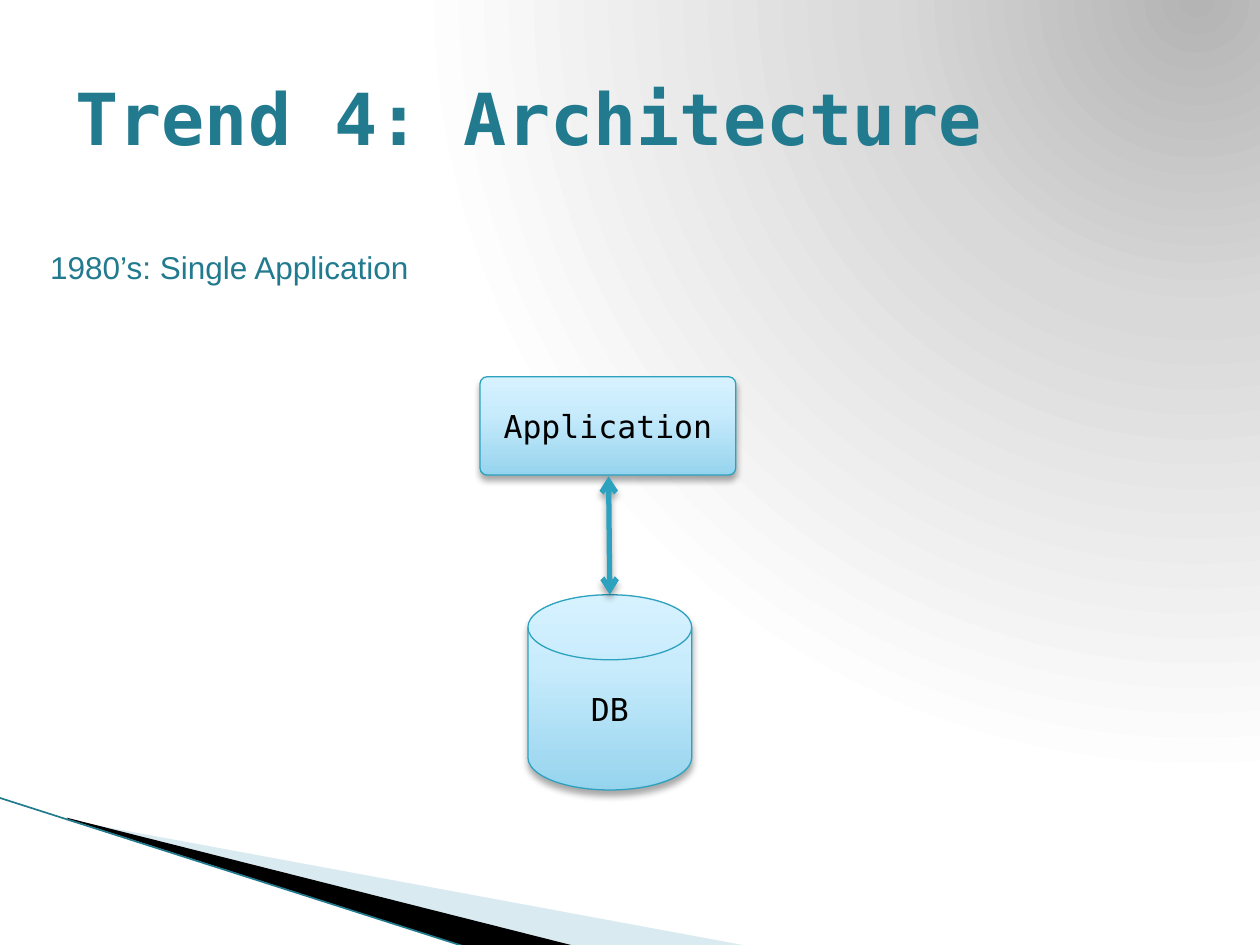
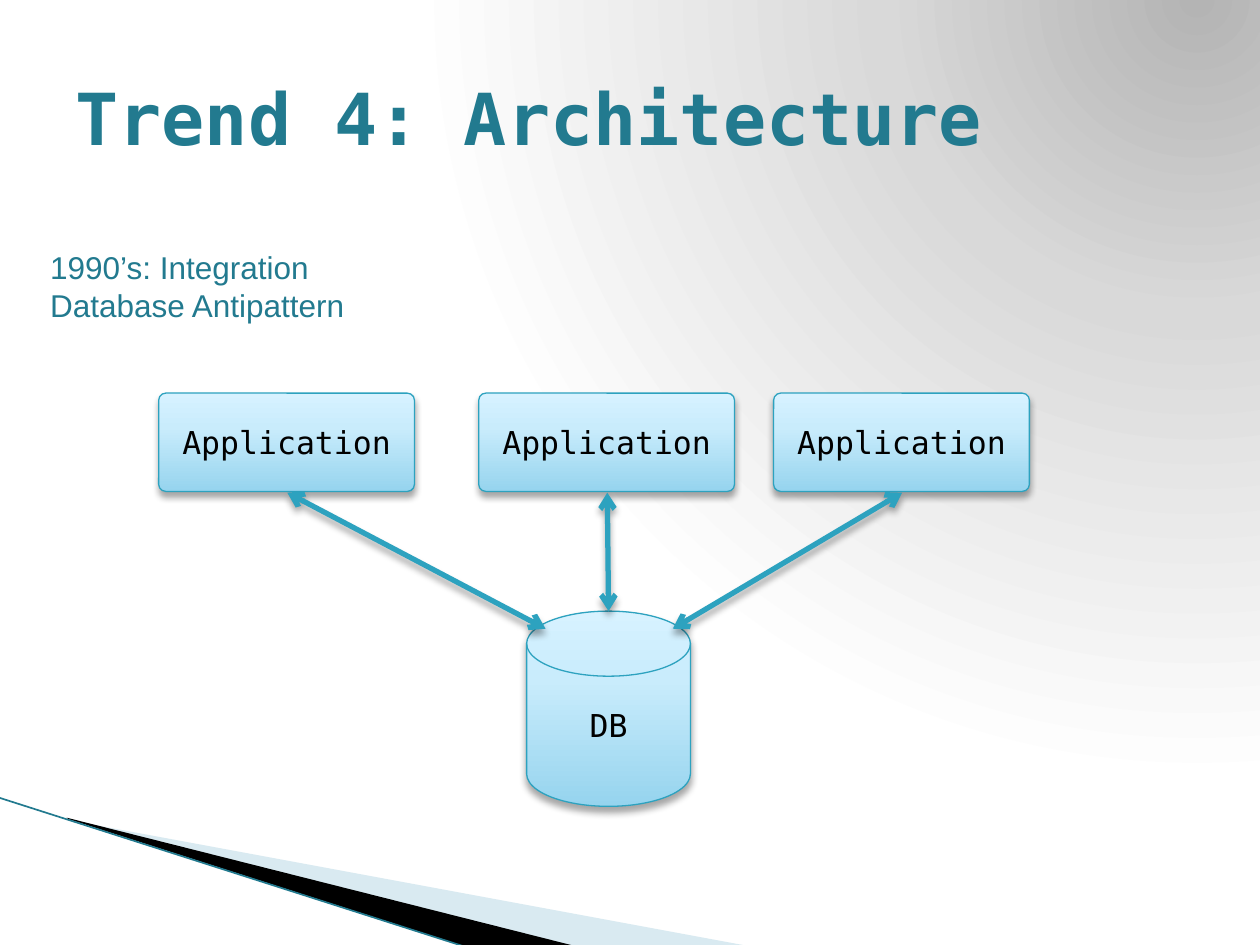
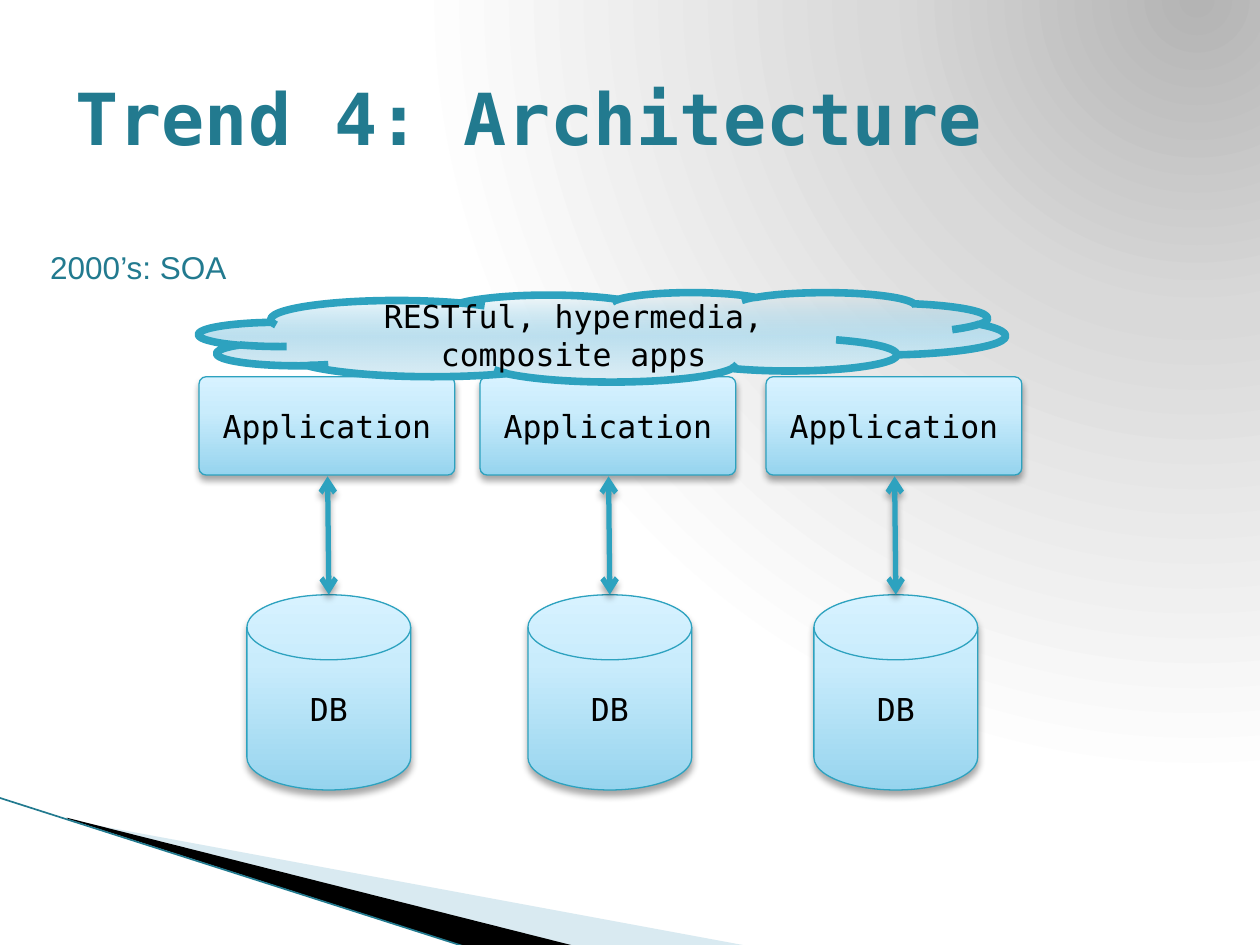
from dataclasses import dataclass

from lxml import etree
from pptx import Presentation
from pptx.dml.color import RGBColor
from pptx.enum.shapes import MSO_CONNECTOR, MSO_SHAPE
from pptx.enum.text import MSO_ANCHOR, MSO_AUTO_SIZE, PP_ALIGN
from pptx.oxml.ns import qn
from pptx.util import Inches, Pt

LEFT, CENTER = PP_ALIGN.LEFT, PP_ALIGN.CENTER
TOP, MIDDLE = MSO_ANCHOR.TOP, MSO_ANCHOR.MIDDLE
GROW = MSO_AUTO_SIZE.SHAPE_TO_FIT_TEXT
DISK = MSO_SHAPE.FLOWCHART_MAGNETIC_DISK
ROUNDED = MSO_SHAPE.ROUNDED_RECTANGLE
CLOUD = MSO_SHAPE.CLOUD
STRAIGHT = MSO_CONNECTOR.STRAIGHT

APP_WIDTH, APP_HEIGHT = 2.03, 0.78
DB_WIDTH, DB_HEIGHT = 1.3, 1.55
DB_INDENT, DB_DROP = 0.38, 1.73
LINK_START = 0.79


@dataclass(frozen=True)
class Theme:
    teal: str = "227A8F"
    edge: str = "2DA2BF"
    black: str = "000000"
    pale_band: str = "A0CBDC"
    backdrop: tuple = ((0, "B4B4B4"), (40, "D9D9D9"), (100, "FFFFFF"))
    node_fill: tuple = ((0, "96D4EE"), (65, "C9ECFC"), (100, "D7F2FF"))
    cloud_fill: tuple = ((0, "92CFE8", 0), (50, "BDE0EF"), (100, "DFEFF6"))
    mono: str = "DejaVu Sans Mono"
    sans: str = "Arial"
    title_size: float = 41
    body_size: float = 18
    thin: float = 0.75
    band_line: float = 0.95
    link_line: float = 3
    cloud_line: float = 4.33


def add_child(parent, tag, **attributes):
    values = {name: str(value) for name, value in attributes.items()}
    return etree.SubElement(parent, qn(tag), values)


def add_color(parent, color, alpha=100):
    node = add_child(parent, "a:srgbClr", val=color)
    if alpha < 100:
        add_child(node, "a:alpha", val=alpha * 1000)


def set_gradient(fill, owner, stops, angle=None, focus=None):
    fill.gradient()
    gradient = next(owner.iter(qn("a:gradFill")))
    for child in list(gradient):
        gradient.remove(child)
    stop_list = add_child(gradient, "a:gsLst")
    for position, *color in stops:
        add_color(add_child(stop_list, "a:gs", pos=position * 1000), *color)
    if focus:
        circle = add_child(gradient, "a:path", path="circle")
        sides = {side: share * 1000 for side, share in zip("ltrb", focus)}
        add_child(circle, "a:fillToRect", **sides)
    else:
        add_child(gradient, "a:lin", ang=angle * 60000, scaled=0)


def add_shadow(effects):
    shadow = add_child(effects, "a:outerShdw", blurRad=Pt(4), dist=Pt(3),
                       dir=90 * 60000, rotWithShape=0)
    add_color(shadow, Theme.black, 35)


def write_text(frame, text, *, font, size, color, bold=False, align=LEFT, anchor=TOP):
    frame.vertical_anchor = anchor
    for index, line in enumerate(text.split("\n")):
        para = frame.add_paragraph() if index else frame.paragraphs[0]
        para.alignment = align
        span = para.add_run()
        span.text = line
        span.font.name = font
        span.font.size = Pt(size)
        span.font.bold = bold
        span.font.color.rgb = RGBColor.from_string(color)


class Pages:
    def __init__(self, deck, theme):
        self.deck = deck
        self.theme = theme
        self.page = None
        self.shapes = None
        background = deck.slide_master.background
        set_gradient(background.fill, deck.slide_master.element, theme.backdrop,
                     focus=(95, -106, 5, 206))

    def start(self, title, subtitle, width, height=0.4):
        self.page = self.deck.slides.add_slide(self.deck.slide_layouts[6])
        self.shapes = self.page.shapes
        theme = self.theme
        self.band([(0.55, 6.51), (5.95, 7.51), (4.56, 7.51), (0.55, 6.5)],
                  theme.pale_band, 40)
        self.band([(0.53, 6.49), (4.57, 7.51), (3.72, 7.52), (0.54, 6.5)], theme.black)
        self.line((-0.01, 6.33), (3.71, 7.52), theme.teal, theme.band_line)
        self.text(title, 0.5, 0.3, 9, 1.25, font=theme.mono, size=theme.title_size,
                  color=theme.teal, bold=True, anchor=MIDDLE)
        box = self.text(subtitle, 0.3, 1.92, width, height, font=theme.sans,
                        size=theme.body_size, color=theme.teal)
        box.text_frame.word_wrap = False
        box.text_frame.auto_size = GROW

    def text(self, text, left, top, width, height, **style):
        box = self.shapes.add_textbox(Inches(left), Inches(top), Inches(width), Inches(height))
        box.text_frame.word_wrap = True
        write_text(box.text_frame, text, **style)
        return box

    def band(self, points, color, alpha=100):
        corners = [(Inches(x), Inches(y)) for x, y in points]
        builder = self.shapes.build_freeform(*corners[0])
        builder.add_line_segments(corners[1:], close=True)
        shape = builder.convert_to_shape()
        shape.shadow.inherit = False
        shape.line.fill.background()
        shape.fill.solid()
        shape.fill.fore_color.rgb = RGBColor.from_string(color)
        if alpha < 100:
            tint = next(shape.element.spPr.iter(qn("a:srgbClr")))
            add_child(tint, "a:alpha", val=alpha * 1000)

    def line(self, start, end, color, width):
        line = self.shapes.add_connector(STRAIGHT, *(Inches(value) for value in start + end))
        line.line.color.rgb = RGBColor.from_string(color)
        line.line.width = Pt(width)
        effects = add_child(line.element.spPr, "a:effectLst")
        return line, effects

    def link(self, start, end):
        line, effects = self.line(start, end, self.theme.edge, self.theme.link_line)
        stroke = line.element.spPr.find(qn("a:ln"))
        for tag in ("a:headEnd", "a:tailEnd"):
            add_child(stroke, tag, type="arrow")
        add_shadow(effects)

    def shape(self, kind, text, left, top, width, height, stops, angle, line_width):
        shape = self.shapes.add_shape(kind, Inches(left), Inches(top),
                                      Inches(width), Inches(height))
        set_gradient(shape.fill, shape.element.spPr, stops, angle)
        shape.line.color.rgb = RGBColor.from_string(self.theme.edge)
        shape.line.width = Pt(line_width)
        shape.shadow.inherit = False
        shape.text_frame.word_wrap = True
        write_text(shape.text_frame, text, font=self.theme.mono, size=self.theme.body_size,
                   color=self.theme.black, align=CENTER, anchor=MIDDLE)
        return shape

    def node(self, kind, text, left, top, width, height):
        shape = self.shape(kind, text, left, top, width, height,
                           self.theme.node_fill, 270, self.theme.thin)
        add_shadow(shape.element.spPr.find(qn("a:effectLst")))
        return shape

    def application(self, left, top):
        shape = self.node(ROUNDED, "Application", left, top, APP_WIDTH, APP_HEIGHT)
        shape.adjustments[0] = 0.072

    def stack(self, left, top):
        self.node(DISK, "DB", left + DB_INDENT, top + DB_DROP, DB_WIDTH, DB_HEIGHT)
        self.application(left, top)
        self.link((left + 1.02, top + LINK_START), (left + 1.03, top + DB_DROP))

    def grouped_stack(self, left, top):
        self.shapes = self.page.shapes.add_group_shape().shapes
        self.stack(left, top)
        self.shapes = self.page.shapes

    def cloud(self, text, left, top, width, height):
        self.shape(CLOUD, text, left, top, width, height,
                   self.theme.cloud_fill, 90, self.theme.cloud_line)


def main():
    deck = Presentation()
    deck.slide_width, deck.slide_height = Inches(10), Inches(7.5)
    pages = Pages(deck, Theme())
    title = "Trend 4: Architecture"

    pages.start(title, "1980’s: Single Application", 3.07)
    pages.stack(3.81, 2.99)

    pages.start(title, "1990’s: Integration\nDatabase Antipattern", 2.56, 0.71)
    app_top = 3.12
    pages.stack(3.8, app_top)
    outer_apps = ((6.14, 5.34), (1.26, 4.33))
    for left, _ in outer_apps:
        pages.application(left, app_top)
    for left, db_edge in outer_apps:
        pages.link((left + 1.02, app_top + LINK_START), (db_edge, 4.99))

    pages.start(title, "2000’s: SOA", 1.61)
    for left in (3.81, 6.08, 1.58):
        pages.grouped_stack(left, 2.99)
    pages.cloud("RESTful, hypermedia, composite apps", 1.58, 2.32, 6.4, 0.71)

    deck.save("out.pptx")


if __name__ == "__main__":
    main()
